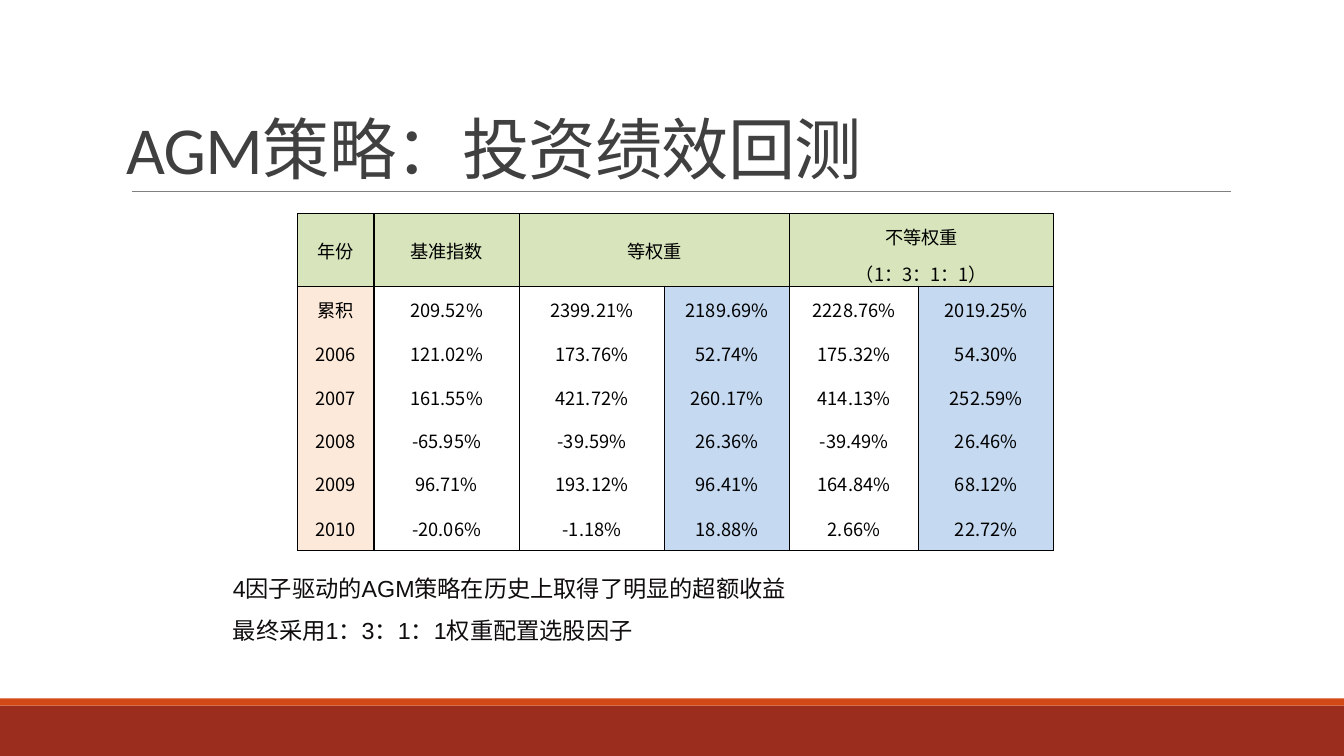
from dataclasses import dataclass

from lxml.etree import SubElement
from pptx import Presentation
from pptx.dml.color import RGBColor
from pptx.enum.shapes import MSO_CONNECTOR, MSO_SHAPE
from pptx.enum.text import MSO_ANCHOR, MSO_AUTO_SIZE, PP_ALIGN
from pptx.oxml.ns import qn
from pptx.util import Inches, Pt

HEADER, YEAR, EXCESS = "D7E4BC", "FDE9D9", "C5D9F1"
COLUMN_WIDTHS = [0.76, 1.44, 1.44, 1.24, 1.28, 1.34]
ROW_HEIGHTS = [0.45, 0.25, 0.45, 0.43, 0.43, 0.43, 0.43, 0.45]
RETURNS = [
    ["年份", "基准指数", "等权重", "", "不等权重", ""],
    ["", "", "", "", "（1：3：1：1）", ""],
    ["累积", "209.52%", "2399.21%", "2189.69%", "2228.76%", "2019.25%"],
    ["2006", "121.02%", "173.76%", "52.74%", "175.32%", "54.30%"],
    ["2007", "161.55%", "421.72%", "260.17%", "414.13%", "252.59%"],
    ["2008", "-65.95%", "-39.59%", "26.36%", "-39.49%", "26.46%"],
    ["2009", "96.71%", "193.12%", "96.41%", "164.84%", "68.12%"],
    ["2010", "-20.06%", "-1.18%", "18.88%", "2.66%", "22.72%"],
]
CONCLUSIONS = [
    "4因子驱动的AGM策略在历史上取得了明显的超额收益",
    "最终采用1：3：1：1权重配置选股因子",
]


@dataclass(frozen=True)
class Band:
    top: float
    height: float
    color: str


@dataclass(frozen=True)
class Merge:
    first: tuple[int, int]
    last: tuple[int, int]


BANDS = [Band(7, 0.5, "9B2D1F"), Band(6.93, 0.07, "D34817")]
MERGES = [
    Merge((0, 0), (1, 0)),
    Merge((0, 1), (1, 1)),
    Merge((0, 2), (1, 3)),
    Merge((0, 4), (0, 5)),
    Merge((1, 4), (1, 5)),
]


def rgb(color: str) -> RGBColor:
    return RGBColor.from_string(color)


def place(shape, left: float, top: float, width: float, height: float) -> None:
    shape.left, shape.top = Inches(left), Inches(top)
    shape.width, shape.height = Inches(width), Inches(height)


def style_runs(paragraph, name: str, size: float, color: str) -> None:
    for run in paragraph.runs:
        run.font.name, run.font.size = name, Pt(size)
        run.font.color.rgb = rgb(color)


def draw_band(slide, band: Band) -> None:
    strip = slide.shapes.add_shape(
        MSO_SHAPE.RECTANGLE, 0, Inches(band.top), Inches(13.33), Inches(band.height)
    )
    strip.shadow.inherit = False
    strip.fill.solid()
    strip.fill.fore_color.rgb = rgb(band.color)
    strip.line.fill.background()


def draw_title_rule(slide) -> None:
    rule = slide.shapes.add_connector(
        MSO_CONNECTOR.STRAIGHT, Inches(1.31), Inches(1.9), Inches(12.21), Inches(1.9)
    )
    rule.line.color.rgb = rgb("808080")
    rule.line.width = Pt(0.5)
    SubElement(rule.element.spPr, qn("a:effectLst"))


def write_title(slide) -> None:
    title = slide.shapes.title
    place(title, 0.44, 0.67, 12.45, 1.25)
    frame = title.text_frame
    frame.text = "AGM策略：投资绩效回测"
    frame.auto_size = MSO_AUTO_SIZE.NONE
    frame.vertical_anchor = MSO_ANCHOR.BOTTOM
    frame.margin_left = Inches(0.81)
    heading = frame.paragraphs[0]
    heading.alignment, heading.line_spacing = PP_ALIGN.LEFT, 0.85
    style_runs(heading, "Calibri", 48, "404040")
    for run in heading.runs:
        run.font._element.set("spc", "-50")


def write_conclusions(slide) -> None:
    body = slide.placeholders[1]
    place(body, 2.21, 5.7, 8.91, 0.78)
    frame = body.text_frame
    frame.text = "\n".join(CONCLUSIONS)
    frame.auto_size = MSO_AUTO_SIZE.NONE
    frame.margin_left = frame.margin_right = 0
    for conclusion in frame.paragraphs:
        conclusion.line_spacing = 0.8
        conclusion.space_before, conclusion.space_after = Pt(12), Pt(2)
        properties = conclusion._p.get_or_add_pPr()
        properties.set("marL", str(Inches(0.1)))
        properties.set("indent", "0")
        SubElement(properties, qn("a:buNone"))
        style_runs(conclusion, "Arial", 16.6, "0F0D0D")


def set_borders(cell, row: int) -> None:
    drawn = {"lnL": True, "lnR": True, "lnT": row in (0, 2), "lnB": row in (1, 7)}
    properties = cell._tc.get_or_add_tcPr()
    for side, visible in drawn.items():
        border = SubElement(properties, qn(f"a:{side}"), w=str(Pt(1)))
        if visible:
            fill = SubElement(border, qn("a:solidFill"))
            SubElement(fill, qn("a:srgbClr"), val="000000")
        else:
            SubElement(border, qn("a:noFill"))


def cell_color(row: int, column: int) -> str | None:
    if row < 2:
        return HEADER
    return {0: YEAR, 3: EXCESS, 5: EXCESS}.get(column)


def fill_cell(cell, row: int, column: int) -> None:
    cell.text_frame.text = RETURNS[row][column]
    cell.vertical_anchor = MSO_ANCHOR.MIDDLE
    cell.margin_left = cell.margin_right = cell.margin_top = Inches(0.01)
    cell.margin_bottom = 0
    value = cell.text_frame.paragraphs[0]
    value.alignment = PP_ALIGN.CENTER
    value.font.size = Pt(13)
    style_runs(value, "Noto Sans CJK SC", 13, "000000")
    set_borders(cell, row)
    color = cell_color(row, column)
    if color:
        cell.fill.solid()
        cell.fill.fore_color.rgb = rgb(color)
    else:
        cell.fill.background()


def draw_returns(slide) -> None:
    returns = slide.shapes.add_table(
        len(ROW_HEIGHTS), len(COLUMN_WIDTHS),
        Inches(2.95), Inches(2.12), Inches(sum(COLUMN_WIDTHS)), Inches(sum(ROW_HEIGHTS)),
    ).table
    returns.first_row = returns.horz_banding = False
    for column, width in zip(returns.columns, COLUMN_WIDTHS):
        column.width = Inches(width)
    for row, height in zip(returns.rows, ROW_HEIGHTS):
        row.height = Inches(height)
    for row in range(len(ROW_HEIGHTS)):
        for column in range(len(COLUMN_WIDTHS)):
            fill_cell(returns.cell(row, column), row, column)
    for merge in MERGES:
        returns.cell(*merge.first).merge(returns.cell(*merge.last))


def main() -> None:
    """Build the slide with the backtest returns of the AGM strategy."""
    deck = Presentation()
    deck.slide_width, deck.slide_height = Inches(13.33), Inches(7.5)
    slide = deck.slides.add_slide(deck.slide_layouts[1])
    for band in BANDS:
        draw_band(slide, band)
    draw_title_rule(slide)
    write_title(slide)
    write_conclusions(slide)
    draw_returns(slide)
    deck.save("out.pptx")


if __name__ == "__main__":
    main()
